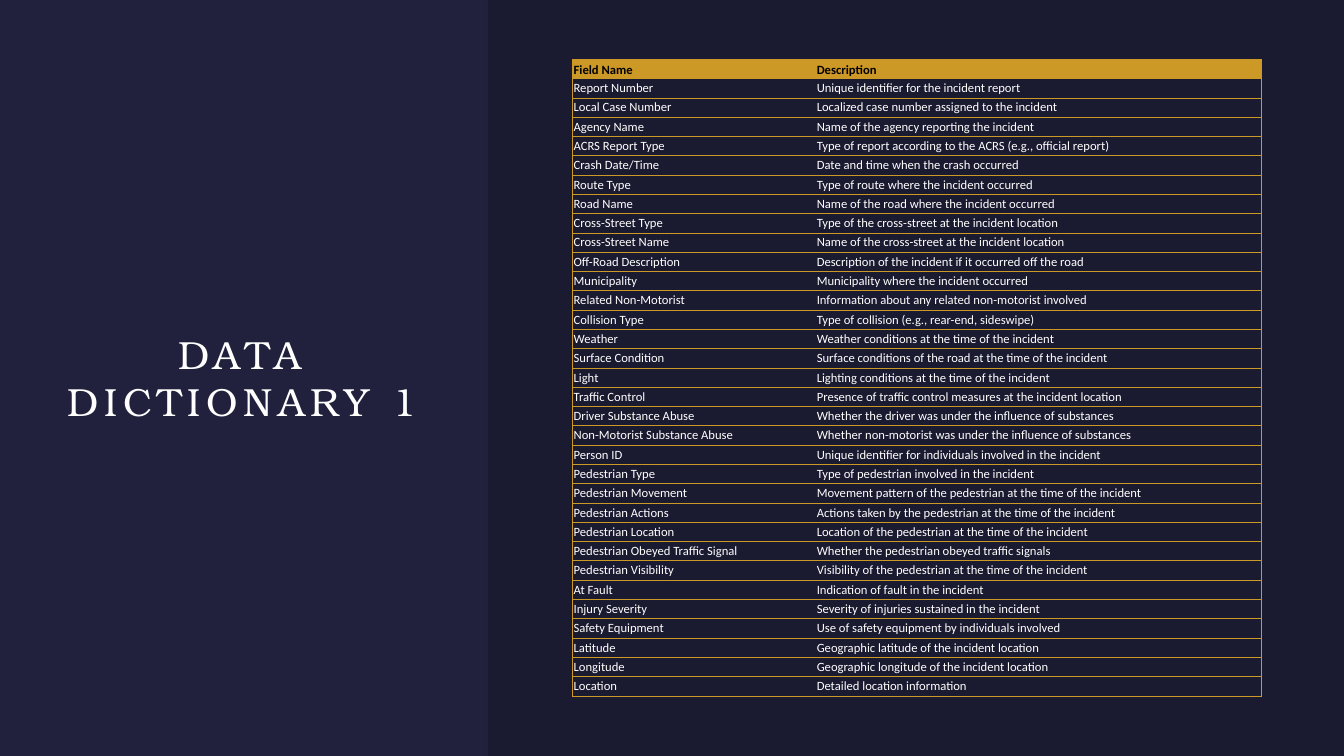
from lxml import etree
from pptx import Presentation
from pptx.dml.color import RGBColor
from pptx.enum import shapes, text
from pptx.oxml import ns
from pptx.util import Pt

COLORS = {
    "background": "21213D",
    "panel": "000000",
    "gold": "CC9826",
    "header_text": "000000",
    "text": "FFFFFF",
}
TITLE_FONT = "TeX Gyre Bonum"
TABLE_FONT = "Calibri"
PLAIN_STYLE = "{2D5ABB26-0587-4C30-8999-92F81FD0307C}"
ROW_HEIGHT = 13.79
COLUMN_WIDTHS = (173.7, 318.5)
CELL_MARGIN = 0.75

FIELDS = [
    ("Field Name", "Description"),
    ("Report Number", "Unique identifier for the incident report"),
    ("Local Case Number", "Localized case number assigned to the incident"),
    ("Agency Name", "Name of the agency reporting the incident"),
    ("ACRS Report Type", "Type of report according to the ACRS (e.g., official report)"),
    ("Crash Date/Time", "Date and time when the crash occurred"),
    ("Route Type", "Type of route where the incident occurred"),
    ("Road Name", "Name of the road where the incident occurred"),
    ("Cross-Street Type", "Type of the cross-street at the incident location"),
    ("Cross-Street Name", "Name of the cross-street at the incident location"),
    ("Off-Road Description", "Description of the incident if it occurred off the road"),
    ("Municipality", "Municipality where the incident occurred"),
    ("Related Non-Motorist", "Information about any related non-motorist involved"),
    ("Collision Type", "Type of collision (e.g., rear-end, sideswipe)"),
    ("Weather", "Weather conditions at the time of the incident"),
    ("Surface Condition", "Surface conditions of the road at the time of the incident"),
    ("Light", "Lighting conditions at the time of the incident"),
    ("Traffic Control", "Presence of traffic control measures at the incident location"),
    ("Driver Substance Abuse", "Whether the driver was under the influence of substances"),
    ("Non-Motorist Substance Abuse", "Whether non-motorist was under the influence of substances"),
    ("Person ID", "Unique identifier for individuals involved in the incident"),
    ("Pedestrian Type", "Type of pedestrian involved in the incident"),
    ("Pedestrian Movement", "Movement pattern of the pedestrian at the time of the incident"),
    ("Pedestrian Actions", "Actions taken by the pedestrian at the time of the incident"),
    ("Pedestrian Location", "Location of the pedestrian at the time of the incident"),
    ("Pedestrian Obeyed Traffic Signal", "Whether the pedestrian obeyed traffic signals"),
    ("Pedestrian Visibility", "Visibility of the pedestrian at the time of the incident"),
    ("At Fault", "Indication of fault in the incident"),
    ("Injury Severity", "Severity of injuries sustained in the incident"),
    ("Safety Equipment", "Use of safety equipment by individuals involved"),
    ("Latitude", "Geographic latitude of the incident location"),
    ("Longitude", "Geographic longitude of the incident location"),
    ("Location", "Detailed location information"),
]


def rgb(name):
    return RGBColor.from_string(COLORS[name])


def add_run(p, content, font, size, color, bold=False):
    r = p.add_run()
    r.text = content
    r.font.name = font
    r.font.size = Pt(size)
    r.font.bold = bold
    r.font.color.rgb = rgb(color)
    return r


def set_title(s, content):
    sp = s.shapes.title
    sp.left, sp.top, sp.width, sp.height = Pt(42.5), Pt(85), Pt(261.4), Pt(369.4)
    tf = sp.text_frame
    tf.margin_left = tf.margin_right = tf.margin_top = tf.margin_bottom = 0
    tf.word_wrap = True
    tf.auto_size = text.MSO_AUTO_SIZE.NONE
    tf.vertical_anchor = text.MSO_ANCHOR.MIDDLE
    p = tf.paragraphs[0]
    p.alignment = text.PP_ALIGN.CENTER
    r = add_run(p, content, TITLE_FONT, 28, "text")
    r.font._element.set("spc", "400")


def add_panel(s):
    """Darken the right side with a see-through rectangle."""
    sp = s.shapes.add_shape(shapes.MSO_SHAPE.RECTANGLE, Pt(348.5), 0, Pt(611.5), Pt(540))
    sp.shadow.inherit = False
    sp.line.fill.background()
    sp.fill.solid()
    sp.fill.fore_color.rgb = rgb("panel")
    color = sp.fill._xPr.find(".//" + ns.qn("a:srgbClr"))
    etree.SubElement(color, ns.qn("a:alpha"), val="20000")


def add_borders(cell, sides):
    tcPr = cell._tc.get_or_add_tcPr()
    for side in sides:
        ln = etree.SubElement(tcPr, ns.qn("a:ln" + side), w=str(Pt(0.75)))
        fill = etree.SubElement(ln, ns.qn("a:solidFill"))
        etree.SubElement(fill, ns.qn("a:srgbClr"), val=COLORS["gold"])


def format_cell(cell, content, header, sides):
    add_borders(cell, sides)
    cell.margin_left = cell.margin_right = Pt(CELL_MARGIN)
    cell.margin_top = cell.margin_bottom = Pt(CELL_MARGIN)
    if header:
        cell.fill.solid()
        cell.fill.fore_color.rgb = rgb("gold")
    else:
        cell.fill.background()
    cell.vertical_anchor = text.MSO_ANCHOR.BOTTOM if header else text.MSO_ANCHOR.MIDDLE
    color = "header_text" if header else "text"
    add_run(cell.text_frame.paragraphs[0], content, TABLE_FONT, 9, color, header)


def add_field_table(s, rows):
    frame = s.shapes.add_table(len(rows), 2, Pt(409), Pt(42.5),
                               Pt(sum(COLUMN_WIDTHS)), Pt(ROW_HEIGHT * len(rows)))
    table = frame.table
    table._tbl.tblPr.find(ns.qn("a:tableStyleId")).text = PLAIN_STYLE
    table.horz_banding = False
    for column, width in zip(table.columns, COLUMN_WIDTHS):
        column.width = Pt(width)
    for i, row in enumerate(rows):
        table.rows[i].height = Pt(ROW_HEIGHT)
        for j, content in enumerate(row):
            outer_side = "LR"[j]
            format_cell(table.cell(i, j), content, i == 0, outer_side + "TB")


def main():
    prs = Presentation()
    prs.slide_width, prs.slide_height = Pt(960), Pt(540)
    s = prs.slides.add_slide(prs.slide_layouts[5])
    s.background.fill.solid()
    s.background.fill.fore_color.rgb = rgb("background")
    set_title(s, "DATA DICTIONARY 1")
    add_panel(s)
    add_field_table(s, FIELDS)
    prs.save("out.pptx")


if __name__ == "__main__":
    main()
